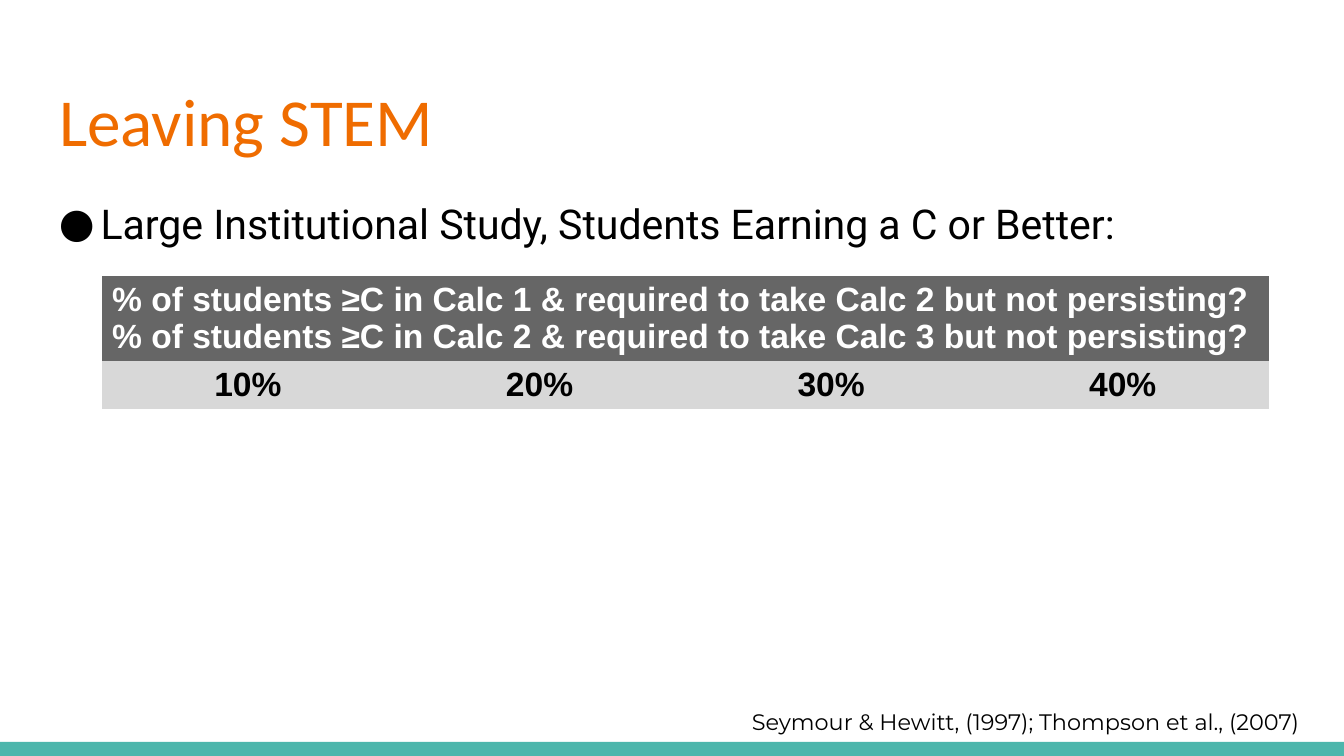
from pptx import Presentation, util as u
from pptx.dml.color import RGBColor
from pptx.enum import shapes, text
from pptx.oxml import parse_xml
from pptx.oxml.ns import nsdecls, qn

COLORS = {
    "orange": "EF6C00", "teal": "4DB6AC", "black": "000000",
    "white": "FFFFFF", "header": "666666", "answer": "D8D8D8",
}
ALIGN = text.PP_ALIGN
PLAIN_TABLE = "{2D5ABB26-0587-4C30-8999-92F81FD0307C}"


def rgb(name):
    return RGBColor.from_string(COLORS[name])


def write(frame, *lines, font="Arial", size=18, color="black", bold=False,
          align=ALIGN.LEFT, bullet=None, indent=0.31):
    for index, line in enumerate(lines):
        paragraph = frame.paragraphs[0] if index == 0 else frame.add_paragraph()
        paragraph.alignment = align
        if bullet:
            properties = paragraph._p.get_or_add_pPr()
            properties.set("marL", str(u.Inches(indent)))
            properties.set("indent", str(-u.Inches(indent)))
            for element in (f'buClr {nsdecls("a")}><a:srgbClr val="{COLORS[color]}"/></a:buClr',
                            f'buFont {nsdecls("a")} typeface="{font}"/',
                            f'buChar {nsdecls("a")} char="{bullet}"/'):
                properties.append(parse_xml(f"<a:{element}>"))
        run = paragraph.add_run()
        run.text = line
        run.font.name, run.font.size, run.font.bold = font, u.Pt(size), bold
        run.font.color.rgb = rgb(color)


def fit(frame, side, edge):
    frame.word_wrap = True
    frame.auto_size = text.MSO_AUTO_SIZE.NONE
    frame.vertical_anchor = text.MSO_ANCHOR.TOP
    frame.margin_left = frame.margin_right = u.Inches(side)
    frame.margin_top = frame.margin_bottom = u.Inches(edge)


class SlideBuilder:
    def __init__(self, deck):
        self.slide = deck.slides.add_slide(deck.slide_layouts[5])

    def title(self, box, words, **style):
        heading = self.slide.shapes.title
        heading.left, heading.top, heading.width, heading.height = map(u.Inches, box)
        fit(heading.text_frame, 0.1, 0.1)
        write(heading.text_frame, words, **style)

    def bar(self, box, color):
        band = self.slide.shapes.add_shape(shapes.MSO_SHAPE.RECTANGLE, *map(u.Inches, box))
        band.shadow.inherit = False
        band.fill.solid()
        band.fill.fore_color.rgb = rgb(color)
        band.line.fill.background()

    def text(self, box, words, edge=0.1, **style):
        frame = self.slide.shapes.add_textbox(*map(u.Inches, box)).text_frame
        fit(frame, 0.1, edge)
        write(frame, words, **style)

    def cell(self, cell, *lines, fill, **style):
        cell.fill.solid()
        cell.fill.fore_color.rgb = rgb(fill)
        cell.margin_left = cell.margin_right = u.Pt(5.4)
        cell.margin_top = cell.margin_bottom = u.Pt(2.7)
        write(cell.text_frame, *lines, bold=True, **style)

    def poll(self, box, questions, answers, row_heights):
        table = self.slide.shapes.add_table(2, len(answers), *map(u.Inches, box)).table
        table._tbl.tblPr.find(qn("a:tableStyleId")).text = PLAIN_TABLE
        table.first_row = table.horz_banding = False
        for row, height in zip(table.rows, row_heights):
            row.height = u.Inches(height)
        table.cell(0, 0).merge(table.cell(0, len(answers) - 1))
        self.cell(table.cell(0, 0), *questions, fill="header", color="white")
        for column, answer in enumerate(answers):
            self.cell(table.cell(1, column), answer, fill="answer", align=ALIGN.CENTER)


def main():
    deck = Presentation()
    deck.slide_width = u.Inches(10)
    deck.slide_height = deck.slide_width * 9 // 16
    page = SlideBuilder(deck)
    page.bar((0, 5.52, 10, 0.11), "teal")
    page.title((0.34, 0.49, 9.32, 0.77), "Leaving STEM",
               font="Calibri", size=36, color="orange")
    page.text((0.34, 1.38, 9.32, 3.61),
              "Large Institutional Study, Students Earning a C or Better:",
              font="Roboto", size=22, bullet="●")
    page.text((1.21, 5.22, 8.56, 0.23),
              "Seymour & Hewitt, (1997); Thompson et al., (2007)",
              edge=0.05, font="Montserrat", size=12, align=ALIGN.RIGHT)
    questions = [
        f"% of students ≥C in Calc {course} & required to take Calc {course + 1} but not persisting?"
        for course in (1, 2)
    ]
    answers = [f"{percent}%" for percent in range(10, 50, 10)]
    page.poll((0.76, 2.05, 8.68, 0.99), questions, answers, (0.63, 0.36))
    deck.save("out.pptx")


if __name__ == "__main__":
    main()
